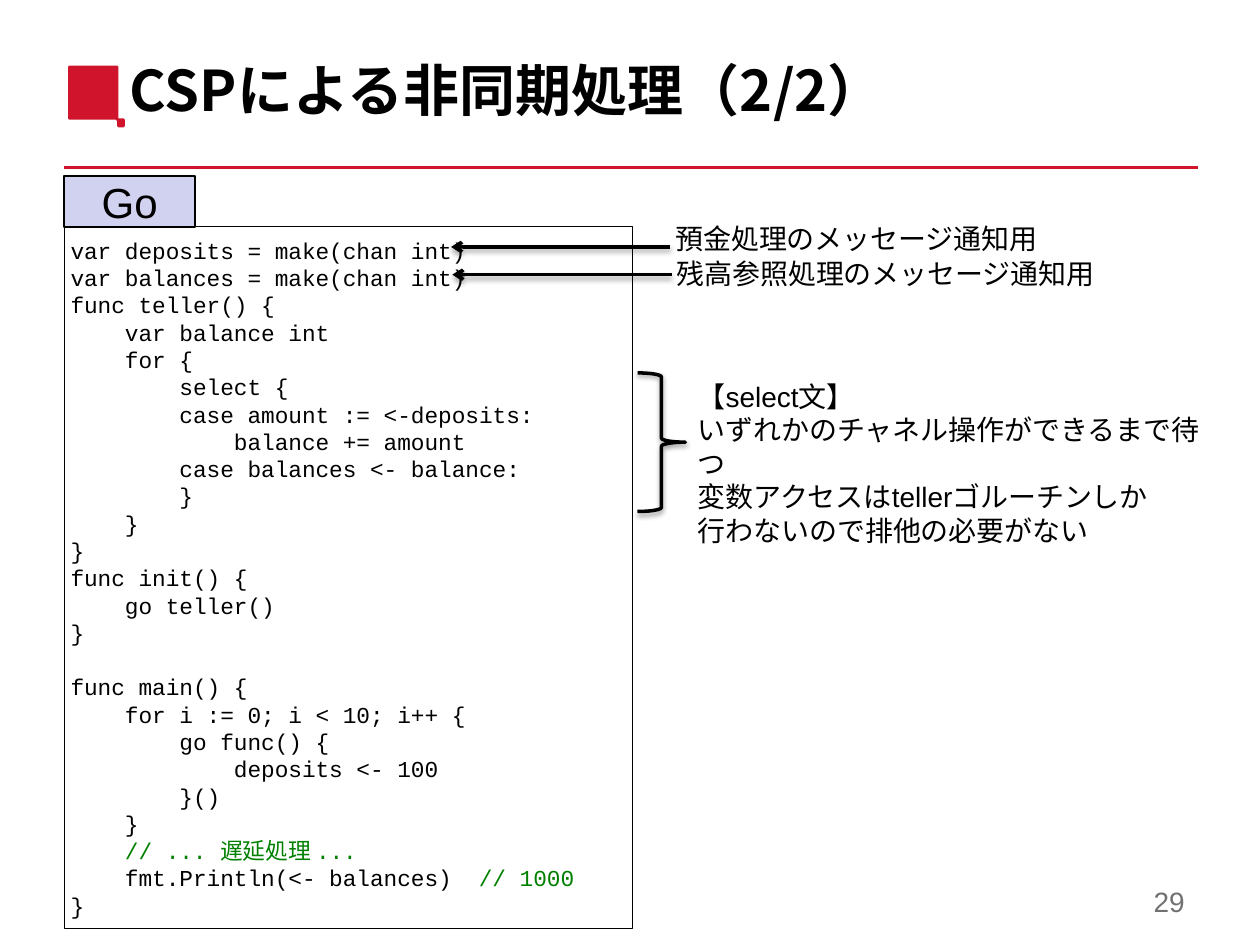
from lxml import etree
from pptx import Presentation
from pptx.dml.color import RGBColor
from pptx.enum.shapes import MSO_CONNECTOR, MSO_SHAPE
from pptx.enum.text import MSO_ANCHOR, PP_ALIGN
from pptx.oxml.ns import qn
from pptx.util import Inches, Pt

COLORS = {"red": "CF142B", "black": "000000", "gray": "717171",
          "lilac": "D1D1F0", "green": "008000"}
NOTO = "Noto Sans CJK JP"

CODE = """var deposits = make(chan int)
var balances = make(chan int)
func teller() {
    var balance int
    for {
        select {
        case amount := <-deposits:
            balance += amount
        case balances <- balance:
        }
    }
}
func init() {
    go teller()
}

func main() {
    for i := 0; i < 10; i++ {
        go func() {
            deposits <- 100
        }()
    }
    // ... 遅延処理 ...
    fmt.Println(<- balances)  // 1000
}"""

SELECT = ["【select文】",
          "いずれかのチャネル操作ができるまで待つ",
          "変数アクセスはtellerゴルーチンしか\v行わないので排他の必要がない"]

MARK = [(0.55, 0.52), (0.93, 0.52), (0.94, 0.53), (0.94, 0.94), (0.98, 0.94),
        (0.99, 0.95), (0.99, 1), (0.98, 1.01), (0.94, 1.01), (0.93, 1),
        (0.93, 0.96), (0.92, 0.95), (0.55, 0.95), (0.54, 0.94), (0.54, 0.53)]


def color(name):
    return RGBColor.from_string(COLORS[name])


def cast(shape, alpha=None):
    """Give a soft shadow straight below, or none when alpha is missing."""
    props = shape._element.spPr
    for old in props.findall(qn("a:effectLst")):
        props.remove(old)
    effects = etree.SubElement(props, qn("a:effectLst"))
    if alpha:
        shadow = etree.SubElement(effects, qn("a:outerShdw"), blurRad=str(Pt(3)),
                                  dist=str(Pt(1.7)), dir="5400000", rotWithShape="0")
        tint = etree.SubElement(shadow, qn("a:srgbClr"), val=COLORS["black"])
        etree.SubElement(tint, qn("a:alpha"), val=str(alpha * 1000))


class Deck:
    """Holds the slide and its style."""

    def __init__(self):
        self.prs = Presentation()
        self.prs.slide_width, self.prs.slide_height = Inches(10), Inches(7.5)
        self.slide = self.prs.slides.add_slide(self.prs.slide_layouts[6])
        self.shapes = self.slide.shapes

    def paint(self, shape, fill, line, width):
        if fill:
            shape.fill.solid()
            shape.fill.fore_color.rgb = color(fill)
        else:
            shape.fill.background()
        if line:
            shape.line.color.rgb = color(line)
            shape.line.width = Pt(width)
        else:
            shape.line.fill.background()

    def shape(self, kind, box, fill=None, line="black", width=1.0, alpha=None):
        shape = self.shapes.add_shape(kind, *map(Inches, box))
        self.paint(shape, fill, line, width)
        cast(shape, alpha)
        return shape

    def outline(self, points, fill):
        pen = self.shapes.build_freeform(*map(Inches, points[0]))
        pen.add_line_segments([(Inches(x), Inches(y)) for x, y in points[1:]])
        shape = pen.convert_to_shape()
        self.paint(shape, fill, None, 0)
        cast(shape)

    def line(self, start, end, ink, alpha=None, head=False):
        line = self.shapes.add_connector(MSO_CONNECTOR.STRAIGHT,
                                         *map(Inches, start + end))
        line.line.color.rgb = color(ink)
        line.line.width = Pt(2)
        if head:
            stroke = line._element.spPr.find(qn("a:ln"))
            etree.SubElement(stroke, qn("a:tailEnd"), type="arrow")
        cast(line, alpha)

    def label(self, shape, lines, size, font="Arial", ink="black", bold=False,
              align=PP_ALIGN.LEFT, anchor=MSO_ANCHOR.TOP, inset=0.05):
        """Fill a shape with paragraphs; code comments turn green."""
        frame = shape.text_frame
        frame.word_wrap = True
        frame.vertical_anchor = anchor
        frame.margin_left = frame.margin_right = Inches(inset)
        frame.margin_top = frame.margin_bottom = Inches(0.05)
        for i, text in enumerate(lines):
            para = frame.add_paragraph() if i else frame.paragraphs[0]
            para.alignment = align
            para.line_spacing = Pt(size * 1.2)
            face = para.font
            face.size, face.name, face.bold = Pt(size), font, bold
            face.color.rgb = color(ink)
            etree.SubElement(face._rPr, qn("a:ea"), typeface=NOTO)
            plain, mark, note = text.partition("//")
            for j, part in enumerate(plain.split("\v")):
                if j:
                    para.add_line_break()
                if part:
                    para.add_run().text = part
            if mark:
                run = para.add_run()
                run.text = mark + note
                run.font.color.rgb = color("green")

    def text(self, box, lines, size, **style):
        self.label(self.shapes.add_textbox(*map(Inches, box)), lines, size, **style)


def main():
    deck = Deck()
    mid = MSO_ANCHOR.MIDDLE
    deck.line((0.51, 1.33), (9.51, 1.33), "red")
    deck.outline(MARK, "red")
    deck.text((0.93, 0.36, 7.05, 0.7), ["CSPによる非同期処理（2/2）"], 32,
              font=NOTO, bold=True, anchor=mid, inset=0.1)
    deck.text((7.35, 6.95, 2.15, 0.4), ["29"], 16, ink="gray",
              align=PP_ALIGN.RIGHT, anchor=mid, inset=0.1)

    code = deck.shape(MSO_SHAPE.RECTANGLE, (0.51, 1.8, 4.51, 5.57), width=0.75)
    deck.label(code, CODE.split("\n"), 13, font="Courier New", anchor=mid)
    tab = deck.shape(MSO_SHAPE.RECTANGLE, (0.51, 1.4, 1.04, 0.4), fill="lilac")
    deck.label(tab, ["Go"], 24, align=PP_ALIGN.CENTER, anchor=mid)

    deck.shape(MSO_SHAPE.RIGHT_BRACE, (5.06, 2.96, 0.38, 1.1), width=2, alpha=38)
    deck.text((5.44, 2.96, 4.23, 1.18), SELECT, 16, inset=0.1)

    notes = [("預金処理のメッセージ通知用", 5.31, 1.71, 2.98, 1.96),
             ("残高参照処理のメッセージ通知用", 5.32, 1.99, 3.46, 2.18)]
    for note, left, top, width, y in notes:
        deck.line((left + 0.01, y), (left - 1.73, y), "black", alpha=35, head=True)
        deck.text((left, top, width, 0.37), [note], 16, font=NOTO)
    deck.prs.save("out.pptx")


if __name__ == "__main__":
    main()
